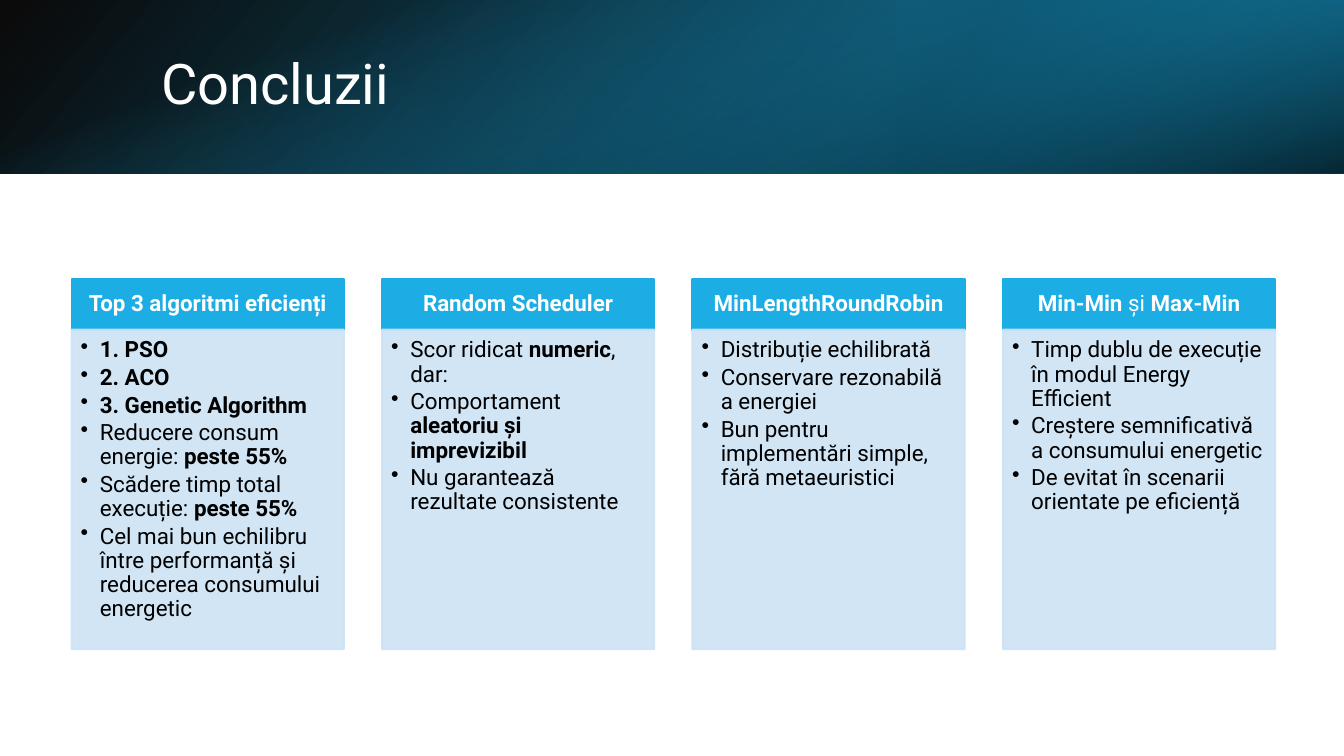
from lxml import etree
from pptx import Presentation
from pptx.dml.color import RGBColor
from pptx.enum.shapes import MSO_SHAPE
from pptx.enum.text import MSO_ANCHOR, PP_ALIGN
from pptx.oxml.ns import qn
from pptx.util import Inches, Pt

RECTANGLE = MSO_SHAPE.RECTANGLE
MIDDLE, TOP = MSO_ANCHOR.MIDDLE, MSO_ANCHOR.TOP
LEFT, CENTER = PP_ALIGN.LEFT, PP_ALIGN.CENTER

CARDS = [
    ("**Top 3 algoritmi eficienți**", [
        "**1. PSO**",
        "**2. ACO**",
        "**3. Genetic Algorithm**",
        "Reducere consum energie: **peste 55%**",
        "Scădere timp total execuție: **peste 55%**",
        "Cel mai bun echilibru între performanță și reducerea consumului energetic",
    ]),
    ("**Random Scheduler**", [
        "Scor ridicat **numeric**, dar:",
        "Comportament **aleatoriu și imprevizibil**",
        "Nu garantează rezultate consistente",
    ]),
    ("**MinLengthRoundRobin**", [
        "Distribuție echilibrată",
        "Conservare rezonabilă a energiei",
        "Bun pentru implementări simple, fără metaeuristici",
    ]),
    ("**Min-Min** și **Max-Min**", [
        "Timp dublu de execuție în modul Energy Efficient",
        "Creștere semnificativă a consumului energetic",
        "De evitat în scenarii orientate pe eficiență",
    ]),
]


def rgb(hex_color):
    return RGBColor.from_string(hex_color)


def fade(shape, *opacities):
    colors = shape._element.spPr.iter(qn("a:srgbClr"))
    for color, opacity in zip(colors, opacities):
        etree.SubElement(color, qn("a:alpha"), val=str(opacity * 1000))


class Deck:
    font = "Roboto"
    accent, pale, white, black = "1CADE4", "CDE3F5", "FFFFFF", "000000"
    banner_height = 22.93
    card_left, card_step, card_width = 5.33, 23.1, 20.25
    heading_top, heading_height, body_height = 36.93, 6.67, 42.27

    def __init__(self):
        self.prs = Presentation()
        self.prs.slide_width, self.prs.slide_height = Inches(13.33), Inches(7.5)
        self.slide = self.prs.slides.add_slide(self.prs.slide_layouts[6])

    def place(self, left, top, width, height):
        wide, high = self.prs.slide_width / 100, self.prs.slide_height / 100
        return int(left * wide), int(top * high), int(width * wide), int(height * high)

    def rectangle(self, box):
        shape = self.slide.shapes.add_shape(RECTANGLE, *box)
        shape.shadow.inherit = False
        return shape

    def banner(self, left, stops, angle, rotation=0, flipped=False):
        x, y, width, height = self.place(left, 0, 100 - left, self.banner_height)
        if rotation == 90:
            shift = (width - height) // 2
            x, y, width, height = x + shift, y - shift, height, width
        band = self.rectangle((x, y, width, height))
        band.rotation = rotation
        if flipped:
            band._element.spPr.xfrm.set("flipH", "1")
        band.line.fill.background()
        band.fill.gradient()
        band.fill.gradient_angle = 360 - angle
        for stop, (position, color, _) in zip(band.fill.gradient_stops, stops):
            stop.position = position / 100
            stop.color.rgb = rgb(color)
        fade(band, *(opacity for _, _, opacity in stops))

    def fill_text(self, shape, lines, size, color, anchor, insets,
                  align=LEFT, space_after=0, bulleted=False):
        frame = shape.text_frame
        frame.word_wrap = True
        frame.vertical_anchor = anchor
        (frame.margin_left, frame.margin_top,
         frame.margin_right, frame.margin_bottom) = map(Inches, insets)
        for number, line in enumerate(lines):
            paragraph = frame.add_paragraph() if number else frame.paragraphs[0]
            paragraph.alignment = align
            paragraph.line_spacing = 0.9
            paragraph.space_after = Pt(space_after)
            if bulleted:
                self.bullet(paragraph)
            font = paragraph.font
            font.name, font.size, font.color.rgb = self.font, Pt(size), rgb(color)
            pieces = [(text, index % 2 == 1)
                      for index, text in enumerate(line.split("**")) if text]
            uniform = len(pieces) == 1
            for text, bold in pieces:
                run = paragraph.add_run()
                run.text = text
                (font if uniform else run.font).bold = bold

    def bullet(self, paragraph):
        properties = paragraph._p.get_or_add_pPr()
        indent = Inches(0.19)
        properties.set("marL", str(indent))
        properties.set("indent", str(-indent))
        etree.SubElement(properties, qn("a:buChar"), char="•")

    def title(self, text):
        box = self.slide.shapes.add_textbox(*self.place(11.25, 5.07, 82.37, 12.8))
        self.fill_text(box, [text], 40, self.white, MIDDLE, (0.1, 0.05, 0.1, 0.05))

    def panel(self, column, top, height, color):
        left = self.card_left + column * self.card_step
        shape = self.rectangle(self.place(left, top, self.card_width, height))
        shape.fill.solid()
        shape.fill.fore_color.rgb = rgb(color)
        shape.line.color.rgb = rgb(color)
        shape.line.width = Pt(1.5)
        return shape

    def card(self, column, heading, points):
        header = self.panel(column, self.heading_top, self.heading_height, self.accent)
        self.fill_text(header, [heading], 16, self.white, MIDDLE,
                       (0.12, 0.07, 0.12, 0.07), align=CENTER)
        body = self.panel(column, self.heading_top + self.heading_height,
                          self.body_height, self.pale)
        fade(body, 90, 90)
        self.fill_text(body, points, 16, self.black, TOP,
                       (0.09, 0.09, 0.12, 0.14), space_after=2.4, bulleted=True)


def main():
    deck = Deck()
    deck.banner(0, [(0, "000000", 96), (100, "1482AC", 100)], 140, flipped=True)
    deck.banner(66.67, [(19, "0E5772", 68), (100, "1CADE4", 79)], 320,
                rotation=180, flipped=True)
    deck.banner(0, [(23, "1CADE4", 0), (99, "000000", 74)], 340, rotation=90)
    deck.title("Concluzii")
    for column, (heading, points) in enumerate(CARDS):
        deck.card(column, heading, points)
    deck.prs.save("out.pptx")


if __name__ == "__main__":
    main()
